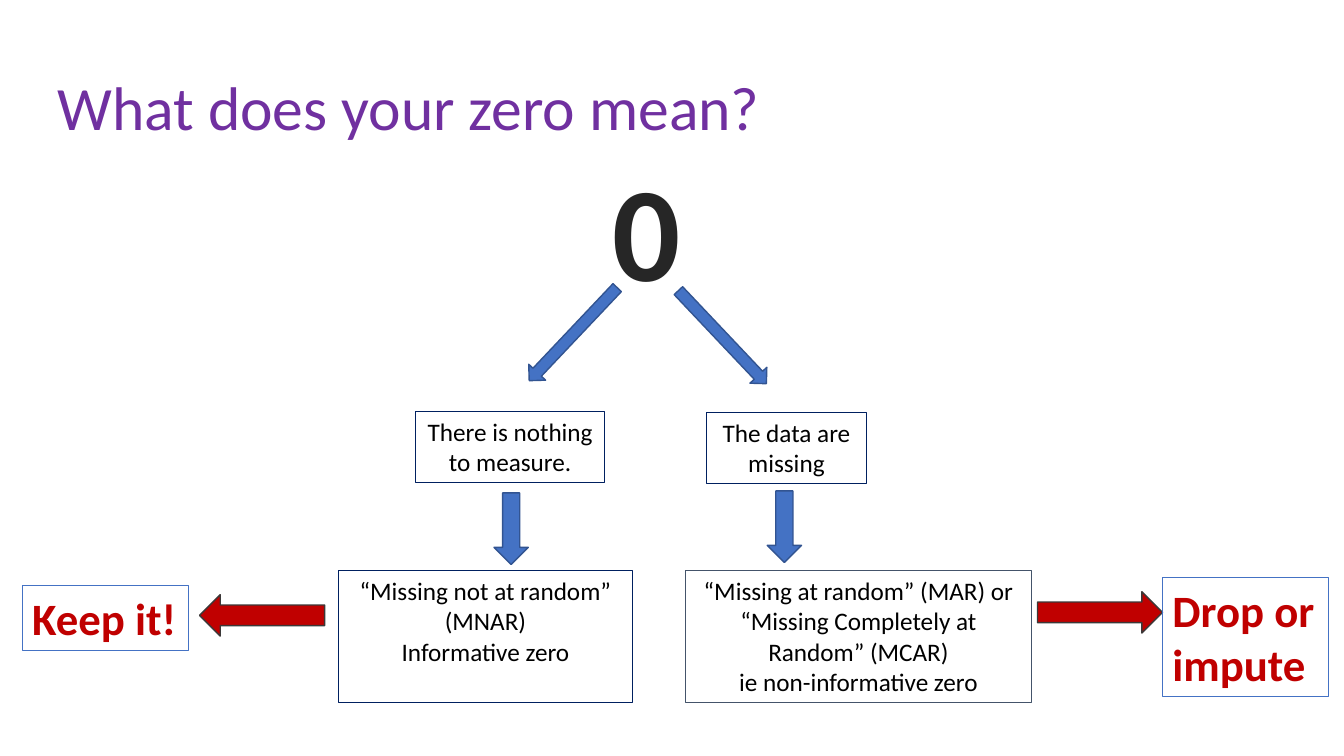
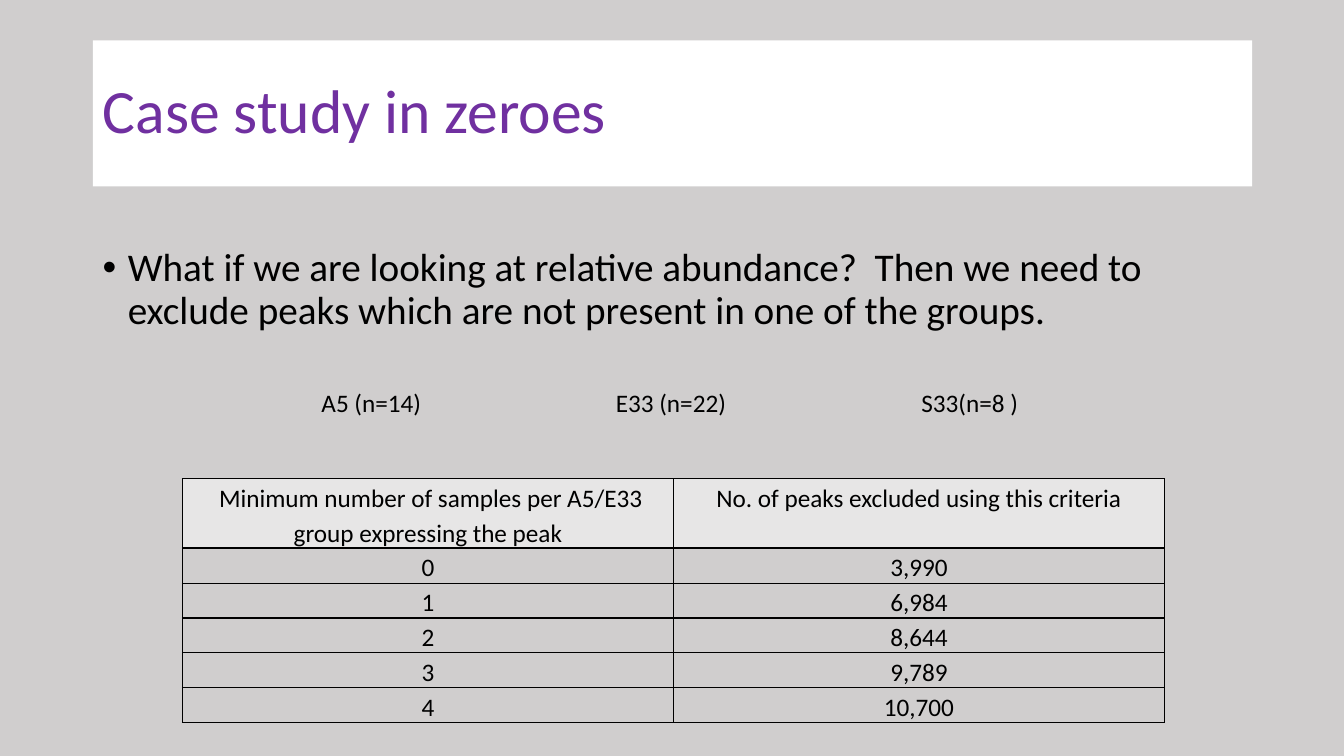
"""Build two slides on what a zero in the data can mean."""
import pptx
import pptx.util
import pptx.dml.color
import pptx.enum.shapes
import pptx.enum.text
import pptx.oxml.ns
import lxml.etree

Inches, Pt = pptx.util.Inches, pptx.util.Pt
RGB = pptx.dml.color.RGBColor
SHAPE = pptx.enum.shapes.MSO_SHAPE
ALIGN = pptx.enum.text.PP_ALIGN
ANCHOR = pptx.enum.text.MSO_ANCHOR
qn = pptx.oxml.ns.qn

FONT = "Calibri"
WHITE, BLACK, GRAY = RGB(255, 255, 255), RGB(0, 0, 0), RGB(0xD0, 0xCE, 0xCE)
PURPLE, INK, RED = RGB(0x70, 0x30, 0xA0), RGB(0x26, 0x26, 0x26), RGB(0xC0, 0, 0)
BLUE, EDGE, NAVY = RGB(0x44, 0x72, 0xC4), RGB(0x32, 0x54, 0x91), RGB(0, 0x20, 0x60)
SLATE, DARK, PALE = RGB(0x44, 0x54, 0x6A), RGB(0x3B, 0x38, 0x38), RGB(0xE7, 0xE6, 0xE6)

NOTES = [
    ((4.12, 4.08, 1.88, 0.71), NAVY, ["There is nothing to measure."]),
    ((7.01, 4.09, 1.58, 0.71), NAVY, ["The data are missing"]),
    ((3.36, 5.66, 2.91, 1.31), NAVY,
     ["“Missing not at random” (MNAR)", "Informative zero"]),
    ((6.8, 5.66, 3.43, 1.31), SLATE,
     ["“Missing at random” (MAR) or “Missing Completely at Random” (MCAR)",
      "ie non-informative zero"]),
]
ACTIONS = [
    ((0.22, 5.81, 1.65, 0.64), "Keep it!", False),
    ((11.53, 5.73, 1.65, 1.18), "Drop or impute", True),
]
ARROWS = [
    (SHAPE.DOWN_ARROW, (5.57, 2.68, 0.23, 1.27), 43.4, BLUE, EDGE),
    (SHAPE.DOWN_ARROW, (7.05, 2.71, 0.23, 1.27), -43.4, BLUE, EDGE),
    (SHAPE.DOWN_ARROW, (4.9, 4.89, 0.34, 0.71), 0, BLUE, EDGE),
    (SHAPE.DOWN_ARROW, (7.61, 4.87, 0.34, 0.71), 0, BLUE, EDGE),
    (SHAPE.LEFT_ARROW, (1.98, 5.9, 1.24, 0.41), 0, RED, DARK),
    (SHAPE.RIGHT_ARROW, (10.29, 5.87, 1.24, 0.41), 0, RED, DARK),
]
POINT = ("What if we are looking at relative abundance?  Then we need to "
         "exclude peaks which are not present in one of the groups.")
GROUPS = [(3.09, 1.2, "A5 (n=14)"), (6.01, 1.31, "E33 (n=22)"),
          (9.04, 1.17, "S33(n=8 )")]
ROWS = [
    (" Minimum number of samples per A5/E33 group expressing the peak",
     "No. of peaks excluded using this criteria"),
    ("0", "3,990"), ("1", "6,984"), ("2", "8,644"), ("3", "9,789"), ("4", "10,700"),
]


def place(box):
    """Turn a box in inches into lengths."""
    return [Inches(side) for side in box]


def write(para, text, size=18, color=BLACK, bold=False, align=ALIGN.LEFT, lead=None):
    """Add one styled run to a paragraph."""
    para.alignment = align
    if lead:
        para.line_spacing = lead
    run = para.add_run()
    run.text = text
    font = run.font
    font.name, font.size, font.bold = FONT, Pt(size), bold
    font.color.rgb = color


def add_text(slide, box, lines, edge=None, wrap=True, **style):
    """Add a text box, framed if an edge colour is given."""
    shape = slide.shapes.add_textbox(*place(box))
    frame = shape.text_frame
    frame.word_wrap = wrap
    if edge is not None:
        shape.line.color.rgb = edge
        shape.line.width = Pt(0.75)
    for at, line in enumerate(lines):
        para = frame.add_paragraph() if at else frame.paragraphs[0]
        write(para, line, **style)
    return frame


def add_slide(deck, back, text, left, top):
    """Add a title-only slide with its backdrop and title band."""
    slide = deck.slides.add_slide(deck.slide_layouts[5])
    slide.background.fill.solid()
    slide.background.fill.fore_color.rgb = back
    title = slide.shapes.title
    title.left, title.top, title.width, title.height = place((left, top, 11.5, 1.45))
    title.fill.solid()
    title.fill.fore_color.rgb = WHITE
    frame = title.text_frame
    frame.auto_size = pptx.enum.text.MSO_AUTO_SIZE.NONE
    frame.vertical_anchor = ANCHOR.MIDDLE
    write(frame.paragraphs[0], text, 44, PURPLE, lead=0.9)
    return slide


def add_arrow(slide, kind, box, turn, fill, edge):
    """Add a block arrow."""
    arrow = slide.shapes.add_shape(kind, *place(box))
    arrow.shadow.inherit = False
    arrow.rotation = turn
    arrow.fill.solid()
    arrow.fill.fore_color.rgb = fill
    arrow.line.color.rgb = edge
    arrow.line.width = Pt(1)


def add_bullet(para):
    """Give a paragraph a hanging round bullet."""
    props = para._p.get_or_add_pPr()
    props.set("marL", str(Inches(0.25)))
    props.set("indent", str(-Inches(0.25)))
    lxml.etree.SubElement(props, qn("a:buFont")).set("typeface", "Arial")
    lxml.etree.SubElement(props, qn("a:buChar")).set("char", "•")


def add_rules(cell, widths):
    """Draw the borders of a cell, given points per side."""
    props = cell._tc.get_or_add_tcPr()
    for side, width in widths.items():
        line = lxml.etree.SubElement(props, qn("a:ln" + side))
        line.set("w", str(Pt(width)))
        fill = lxml.etree.SubElement(line, qn("a:solidFill"))
        lxml.etree.SubElement(fill, qn("a:srgbClr")).set("val", str(BLACK))


def add_grid(slide):
    """Add the table of excluded peaks."""
    table = slide.shapes.add_table(
        len(ROWS), 2, *place((1.81, 4.75, 9.75, 2.39))).table
    table.first_row = table.horz_banding = False
    for col in table.columns:
        col.width = Inches(4.87)
    for r, texts in enumerate(ROWS):
        table.rows[r].height = Inches(0.34 if r else 0.69)
        for c, text in enumerate(texts):
            cell = table.cell(r, c)
            add_rules(cell, {"L": 1, "R": 1, "T": 1.5 if r == 1 else 1,
                             "B": 1 if r else 1.5})
            if r:
                cell.fill.background()
            else:
                cell.fill.solid()
                cell.fill.fore_color.rgb = PALE
            cell.margin_left = cell.margin_right = Inches(0.07)
            cell.margin_top = cell.margin_bottom = 0
            write(cell.text_frame.paragraphs[0], text, align=ALIGN.CENTER, lead=1.15)


def main():
    """Build and save the deck."""
    deck = pptx.Presentation()
    deck.slide_width, deck.slide_height = Inches(13.33), Inches(7.5)

    slide = add_slide(deck, WHITE, "What does your zero mean?", 0.47, 0.37)
    add_text(slide, (5.98, 1.41, 0.88, 1.72), ["0"], wrap=False,
             size=96, color=INK, bold=True)
    for box, edge, lines in NOTES:
        add_text(slide, box, lines, edge, align=ALIGN.CENTER)
    for arrow in ARROWS:
        add_arrow(slide, *arrow)
    for box, text, wrap in ACTIONS:
        add_text(slide, box, [text], BLUE, wrap, size=32, color=RED, bold=True)

    slide = add_slide(deck, GRAY, "Case study in zeroes", 0.92, 0.4)
    frame = add_text(slide, (0.92, 2.41, 11.5, 1.05), [POINT], size=28, lead=0.9)
    add_bullet(frame.paragraphs[0])
    for left, width, text in GROUPS:
        add_text(slide, (left, 3.79, width, 0.4), [text], wrap=False)
    add_grid(slide)
    deck.save("out.pptx")


if __name__ == "__main__":
    main()
